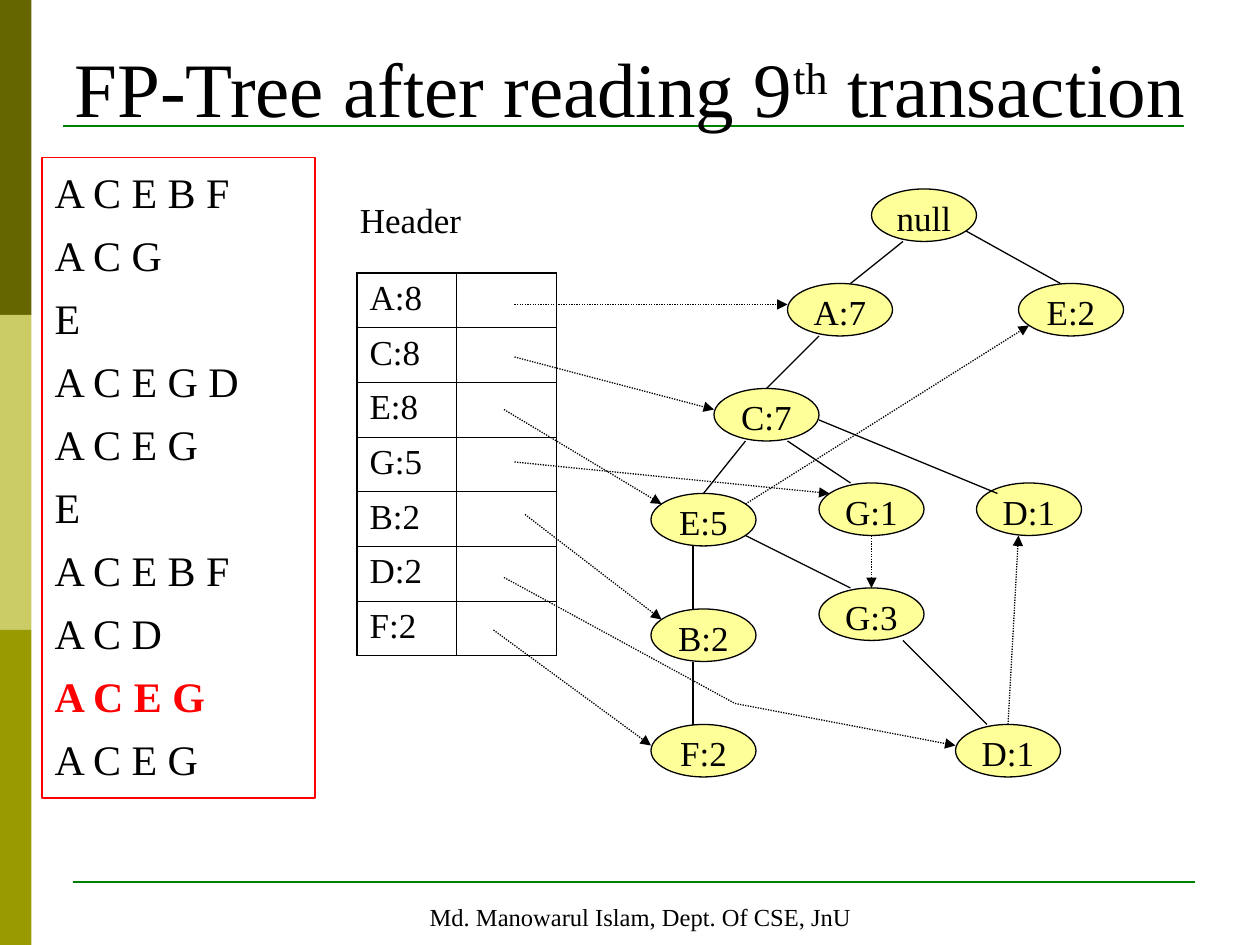
from lxml import etree
from pptx import Presentation
from pptx.dml.color import RGBColor
from pptx.enum.dml import MSO_LINE
from pptx.enum.shapes import MSO_CONNECTOR, MSO_SHAPE
from pptx.enum.text import MSO_ANCHOR, MSO_AUTO_SIZE, PP_ALIGN
from pptx.oxml.ns import qn
from pptx.util import Pt

PX = 914400 // 120
FONT = "Times New Roman"
RECTANGLE, OVAL = MSO_SHAPE.RECTANGLE, MSO_SHAPE.OVAL
STRAIGHT = MSO_CONNECTOR.STRAIGHT
DOTTED = MSO_LINE.ROUND_DOT
MIDDLE, TOP = MSO_ANCHOR.MIDDLE, MSO_ANCHOR.TOP
LEFT, CENTER = PP_ALIGN.LEFT, PP_ALIGN.CENTER
NO_FIT = MSO_AUTO_SIZE.NONE
COLORS = {
    "text": "000000", "paper": "FFFFFF", "rule": "008000", "node": "FFFF99",
    "new": "FF0000", "dark": "666600", "light": "CCCC66", "olive": "999900",
}
COLORS_RGB = {key: RGBColor.from_string(value) for key, value in COLORS.items()}


def add_run(paragraph, text, size, color="text", bold=False):
    run = paragraph.add_run()
    run.text = text
    run.font.name = FONT
    run.font.size = Pt(size)
    run.font.bold = bold
    run.font.color.rgb = COLORS_RGB[color]
    return run


def add_line(x1, y1, x2, y2, color="text", width=0.75, dotted=False, arrow=False):
    line = slide.shapes.add_connector(STRAIGHT, x1 * PX, y1 * PX, x2 * PX, y2 * PX)
    line.line.color.rgb = COLORS_RGB[color]
    line.line.width = Pt(width)
    if dotted:
        line.line.dash_style = DOTTED
    if arrow:
        etree.SubElement(line.line._get_or_add_ln(), qn("a:tailEnd"), type="triangle")
    etree.SubElement(line._element.spPr, qn("a:effectLst"))


prs = Presentation()
prs.slide_width, prs.slide_height = 1200 * PX, 900 * PX
slide = prs.slides.add_slide(prs.slide_layouts[1])
title, transactions = slide.placeholders

for row, color in enumerate(("dark", "light", "olive")):
    strip = slide.shapes.add_shape(RECTANGLE, 0, row * 300 * PX, 30 * PX, 300 * PX)
    strip.shadow.inherit = False
    strip.fill.solid()
    strip.fill.fore_color.rgb = COLORS_RGB[color]
    strip.line.fill.background()

add_line(70, 840, 1138, 840, "rule", 1.5)
footer = slide.shapes.add_shape(RECTANGLE, 60 * PX, 852 * PX, 1100 * PX, 42 * PX)
footer.shadow.inherit = False
footer.fill.solid()
footer.fill.fore_color.rgb = COLORS_RGB["paper"]
footer.line.color.rgb = COLORS_RGB["paper"]
footer.line.width = Pt(2)
footer.text_frame.word_wrap = False
footer.text_frame.vertical_anchor = MIDDLE
footer.text_frame.paragraphs[0].alignment = CENTER
add_run(footer.text_frame.paragraphs[0], "Md. Manowarul Islam, Dept. Of CSE, JnU", 14)
add_line(60, 120, 1128, 120, "rule", 1.5)

for placeholder in (title, transactions):
    placeholder._element.getparent().append(placeholder._element)
    placeholder.text_frame.auto_size = NO_FIT

title.left, title.top, title.width, title.height = 20 * PX, 36 * PX, 1160 * PX, 94 * PX
title.text_frame.vertical_anchor = MIDDLE
heading = title.text_frame.paragraphs[0]
heading.alignment = CENTER
add_run(heading, "FP-Tree after reading 9", 44)
ordinal = add_run(heading, "th", 44)
ordinal.font._element.set("baseline", "30000")
add_run(heading, " transaction", 44)

transactions.left, transactions.top = 40 * PX, 150 * PX
transactions.width, transactions.height = 260 * PX, 610 * PX
transactions.line.color.rgb = COLORS_RGB["new"]
transactions.line.width = Pt(0.75)
transactions.text_frame.margin_top = 9 * PX
transactions.text_frame.vertical_anchor = TOP
ITEMSETS = ["A C E B F", "A C G", "E", "A C E G D", "A C E G",
            "E", "A C E B F", "A C D", "A C E G", "A C E G"]
CURRENT = 8
for number, itemset in enumerate(ITEMSETS):
    frame = transactions.text_frame
    entry = frame.add_paragraph() if number else frame.paragraphs[0]
    properties = entry._p.get_or_add_pPr()
    properties.set("marL", str(46 * PX))
    properties.set("indent", str(-46 * PX))
    etree.SubElement(properties, qn("a:buNone"))
    entry.alignment = LEFT
    entry.space_before = Pt(7.2 if number else 0)
    is_current = number == CURRENT
    add_run(entry, itemset, 24, "new" if is_current else "text", is_current)

header = slide.shapes.add_textbox(331 * PX, 183 * PX, 120 * PX, 53 * PX)
header.text_frame.word_wrap = False
add_run(header.text_frame.paragraphs[0], "Header", 20)

COUNTS = ["A:8", "C:8", "E:8", "G:5", "B:2", "D:2", "F:2"]
ROW_HEIGHT = 52
header_table = slide.shapes.add_table(
    len(COUNTS), 2, 340 * PX, 260 * PX, 190 * PX, len(COUNTS) * ROW_HEIGHT * PX).table
header_table.first_row = header_table.horz_banding = False
for row, count in enumerate(COUNTS):
    header_table.rows[row].height = ROW_HEIGHT * PX
    for column in range(2):
        cell = header_table.cell(row, column)
        outer_edges = {"lnL": column == 0, "lnR": column == 1,
                       "lnT": row == 0, "lnB": row == len(COUNTS) - 1}
        for edge, outer in outer_edges.items():
            border = etree.SubElement(cell._tc.get_or_add_tcPr(), qn("a:" + edge),
                                      w=str(Pt(1.08 if outer else 0.45)))
            border_fill = etree.SubElement(border, qn("a:solidFill"))
            etree.SubElement(border_fill, qn("a:srgbClr"), val=COLORS["text"])
        cell.fill.background()
    add_run(header_table.cell(row, 0).text_frame.paragraphs[0], count, 20)

NODES = [
    ("null", 830, 180), ("A:7", 750, 270), ("E:2", 970, 270), ("C:7", 680, 370),
    ("E:5", 620, 470), ("G:1", 780, 460), ("D:1", 930, 460), ("G:3", 780, 560),
    ("B:2", 620, 580), ("F:2", 620, 690), ("D:1", 910, 690),
]
for label, x, y in NODES:
    node = slide.shapes.add_shape(OVAL, x * PX, y * PX, 100 * PX, 50 * PX)
    node.shadow.inherit = False
    node.fill.solid()
    node.fill.fore_color.rgb = COLORS_RGB["node"]
    node.line.color.rgb = COLORS_RGB["text"]
    node.line.width = Pt(0.75)
    node.text_frame.word_wrap = False
    node.text_frame.margin_top = 10 * PX
    node.text_frame.vertical_anchor = MIDDLE
    node.text_frame.paragraphs[0].alignment = CENTER
    add_run(node.text_frame.paragraphs[0], label, 20)

BRANCHES = [
    (860, 230, 810, 270), (920, 220, 1010, 270), (780, 320, 730, 370),
    (710, 420, 670, 470), (750, 420, 810, 460), (780, 400, 950, 470),
    (660, 520, 660, 580), (660, 630, 660, 690), (710, 510, 810, 560),
    (860, 610, 940, 690),
]
for branch in BRANCHES:
    add_line(*branch)

NODE_LINKS = [
    (490, 290, 750, 290), (490, 340, 680, 390), (480, 390, 630, 480),
    (490, 440, 790, 470), (500, 490, 630, 590), (470, 600, 620, 710),
    (710, 480, 980, 310), (830, 510, 830, 560), (700, 670, 910, 710),
    (960, 690, 970, 510),
]
add_line(480, 550, 700, 670, dotted=True)
for link in NODE_LINKS:
    add_line(*link, dotted=True, arrow=True)

prs.save("out.pptx")
